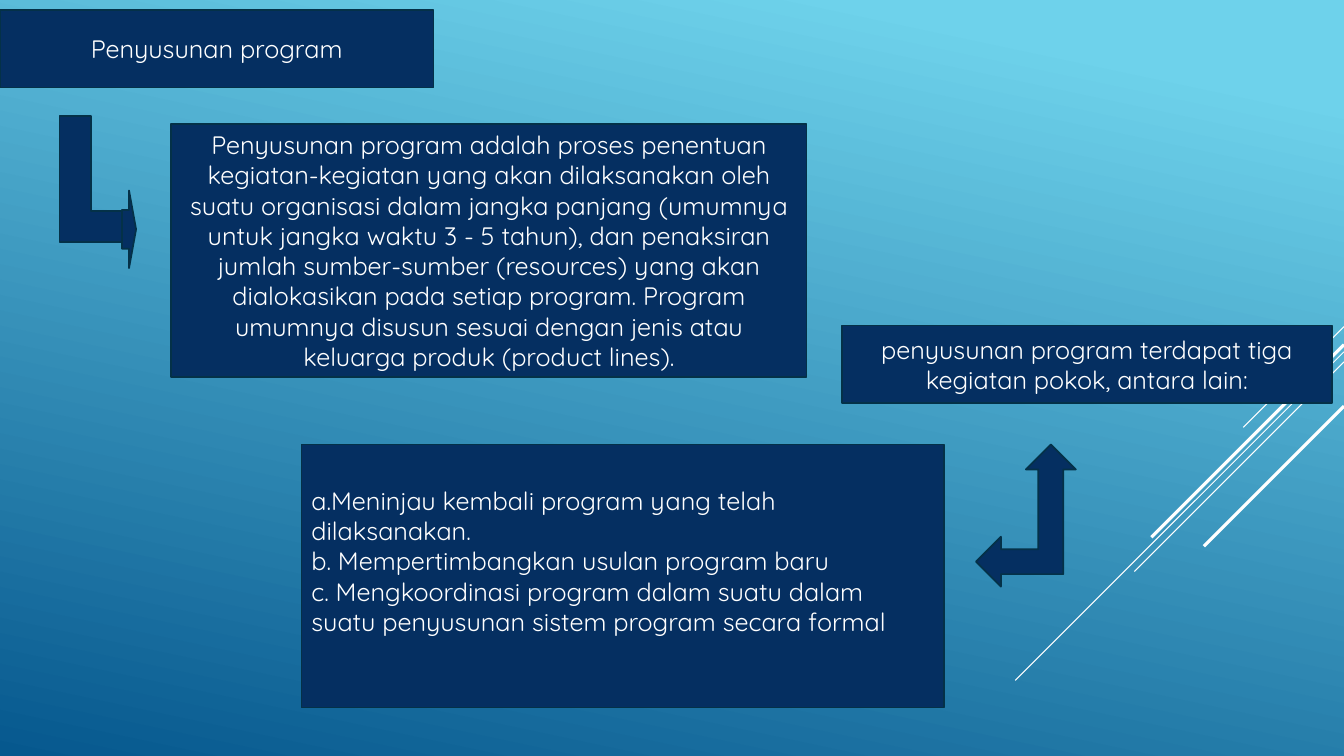
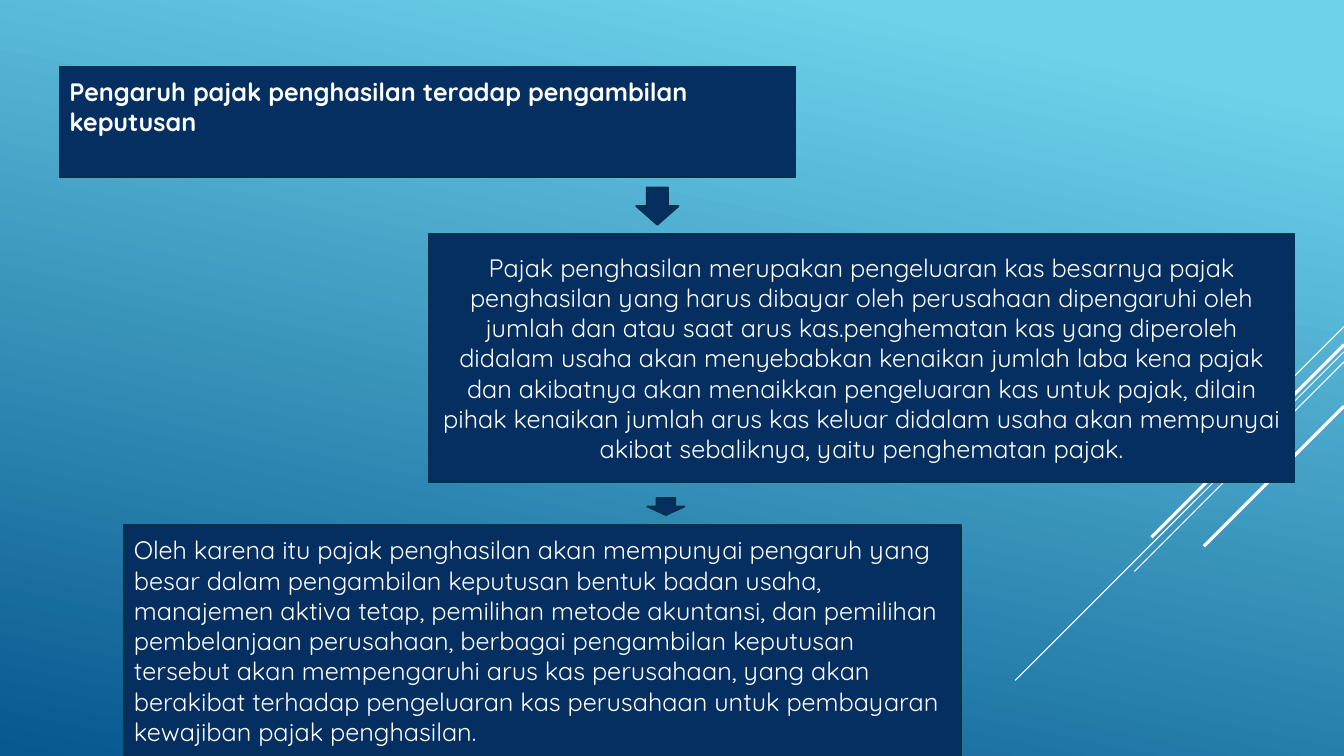
from lxml import etree
from pptx import Presentation
from pptx.dml.color import RGBColor
from pptx.enum.shapes import MSO_CONNECTOR, MSO_SHAPE as SHAPE
from pptx.enum.text import MSO_ANCHOR, PP_ALIGN as ALIGN
from pptx.oxml.ns import qn
from pptx.util import Inches, Pt

COLORS = {
    "sky": "6ED2EB",
    "ocean": "06588E",
    "navy": "052F61",
    "navy_edge": "043148",
    "white": "FFFFFF",
}
FONT = "Quicksand"
TEXT_SIZE = 18
LINE_HEIGHT = 0.3
SLIDE_WIDTH, SLIDE_HEIGHT = 13.33, 7.5

# Top of each diagonal at the right edge, its run to the lower left, its weight
DIAGONALS = [
    (3.24, 1.0, 0.75),
    (3.49, 3.26, 0.75),
    (3.59, 2.08, 0.75),
    (3.42, 1.91, 2.25),
    (4.03, 1.39, 2.25),
]


def rgb(name):
    return RGBColor.from_string(COLORS[name])


def paint_background(master):
    fill = master.background.fill
    fill.gradient()
    fill.gradient_angle = 258
    for stop, position, color in zip(fill.gradient_stops, (0.1, 1), ("sky", "ocean")):
        stop.position = position
        stop.color.rgb = rgb(color)


def add_diagonals(slide):
    for top, run, weight in DIAGONALS:
        diagonal = slide.shapes.add_connector(
            MSO_CONNECTOR.STRAIGHT,
            Inches(SLIDE_WIDTH), Inches(top),
            Inches(SLIDE_WIDTH - run), Inches(top + run),
        )
        diagonal.line.color.rgb = rgb("white")
        diagonal.line.width = Pt(weight)
        etree.SubElement(diagonal._element.spPr, qn("a:effectLst"))


def add_navy_shape(slide, kind, box):
    """Place a navy preset shape in box: left, top, width, height in inches."""
    shape = slide.shapes.add_shape(kind, *map(Inches, box))
    shape.shadow.inherit = False
    shape.fill.solid()
    shape.fill.fore_color.rgb = rgb("navy")
    shape.line.color.rgb = rgb("navy_edge")
    shape.line.width = Pt(1.25)
    return shape


def write_text(frame, *paragraphs, align=ALIGN.CENTER, bold=False, lift=0):
    """Write paragraphs centred vertically, above a lift of inches at the bottom."""
    frame.word_wrap = True
    frame.vertical_anchor = MSO_ANCHOR.MIDDLE
    frame.margin_bottom = Inches(0.05 + lift)
    for index, text in enumerate(paragraphs):
        paragraph = frame.add_paragraph() if index else frame.paragraphs[0]
        paragraph.alignment = align
        run = paragraph.add_run()
        run.text = text
        run.font.name = FONT
        run.font.size = Pt(TEXT_SIZE)
        run.font.bold = bold
        run.font.color.rgb = rgb("white")


def add_panel(slide, box, *paragraphs, **text_format):
    panel = add_navy_shape(slide, SHAPE.RECTANGLE, box)
    write_text(panel.text_frame, *paragraphs, **text_format)


def add_themed_slide(deck):
    slide = deck.slides.add_slide(deck.slide_layouts[6])
    add_diagonals(slide)
    return slide


def add_bent_arrow(slide, box, head_width=0.14, head_height=0.77):
    """Draw a corner filling box, with an arrowhead at its lower right."""
    left, top, width, height = box
    corner = add_navy_shape(slide, SHAPE.RECTANGLE, box)
    # The preset "corner" has no member in MSO_SHAPE
    corner._element.spPr.find(qn("a:prstGeom")).set("prst", "corner")
    add_navy_shape(slide, SHAPE.RIGHT_ARROW,
                   (left + width, top + height - 0.51, head_width, head_height))


def build_program_slide(deck):
    slide = add_themed_slide(deck)
    add_panel(slide, (0, 0.1, 4.3, 0.77), "Penyusunan program")
    add_panel(
        slide, (1.7, 1.23, 6.3, 2.51),
        "Penyusunan program adalah proses penentuan kegiatan-kegiatan yang akan "
        "dilaksanakan oleh suatu organisasi dalam jangka panjang (umumnya untuk "
        "jangka waktu 3 - 5 tahun), dan penaksiran jumlah sumber-sumber (resources) "
        "yang akan dialokasikan pada setiap program. Program umumnya disusun sesuai "
        "dengan jenis atau keluarga produk (product lines).",
    )
    add_panel(slide, (8.35, 3.23, 4.86, 0.77),
              "penyusunan program terdapat tiga kegiatan pokok, antara lain:")
    add_bent_arrow(slide, (0.59, 1.15, 0.62, 1.25))
    add_panel(
        slide, (2.99, 4.41, 6.37, 2.61),
        "a.Meninjau kembali program yang telah dilaksanakan.",
        "b. Mempertimbangkan usulan program baru",
        "c. Mengkoordinasi program dalam suatu dalam suatu penyusunan sistem "
        "program secara formal",
        align=ALIGN.LEFT, lift=LINE_HEIGHT,
    )
    add_navy_shape(slide, SHAPE.LEFT_UP_ARROW, (9.68, 4.41, 0.99, 1.41))


def build_tax_slide(deck):
    slide = add_themed_slide(deck)
    add_panel(
        slide, (0.59, 0.66, 7.3, 1.1),
        "Pengaruh pajak penghasilan teradap pengambilan keputusan",
        align=ALIGN.LEFT, bold=True, lift=LINE_HEIGHT,
    )
    add_panel(
        slide, (4.25, 2.32, 8.59, 2.46),
        "Pajak penghasilan merupakan pengeluaran kas besarnya pajak penghasilan "
        "yang harus dibayar oleh perusahaan dipengaruhi oleh jumlah dan atau saat "
        "arus kas.penghematan kas yang diperoleh didalam usaha akan menyebabkan "
        "kenaikan jumlah laba kena pajak dan akibatnya akan menaikkan pengeluaran "
        "kas untuk pajak, dilain pihak kenaikan jumlah arus kas keluar didalam "
        "usaha akan mempunyai akibat sebaliknya, yaitu penghematan pajak.",
    )
    add_panel(
        slide, (1.23, 5.21, 8.3, 2.29),
        "Oleh karena itu pajak penghasilan akan mempunyai pengaruh yang besar dalam "
        "pengambilan keputusan bentuk badan usaha, manajemen aktiva tetap, pemilihan "
        "metode akuntansi, dan pemilihan pembelanjaan perusahaan, berbagai "
        "pengambilan keputusan tersebut akan mempengaruhi arus kas perusahaan, yang "
        "akan berakibat terhadap pengeluaran kas perusahaan untuk pembayaran "
        "kewajiban pajak penghasilan.",
        align=ALIGN.LEFT,
    )
    for arrow_box in ((6.31, 1.86, 0.42, 0.37), (6.42, 4.94, 0.37, 0.17)):
        add_navy_shape(slide, SHAPE.DOWN_ARROW, arrow_box)


def main():
    deck = Presentation()
    deck.slide_width = Inches(SLIDE_WIDTH)
    deck.slide_height = Inches(SLIDE_HEIGHT)
    paint_background(deck.slide_master)
    build_program_slide(deck)
    build_tax_slide(deck)
    deck.save("out.pptx")


if __name__ == "__main__":
    main()
